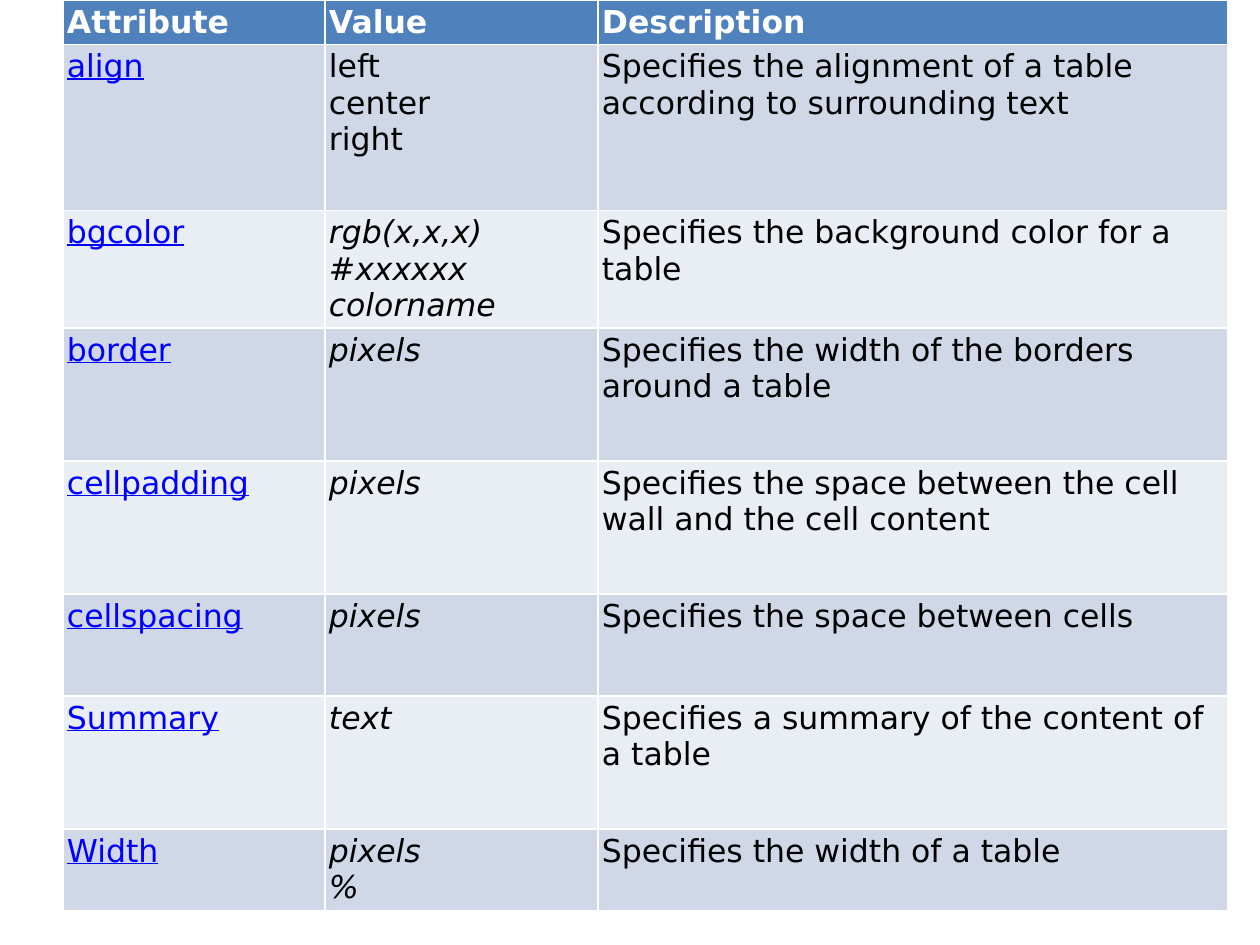
from pptx import Presentation
from pptx.dml.color import RGBColor
from pptx.util import Emu, Pt

PX = 914400 // 126
FONT, SIZE = "DejaVu Sans", 18
WHITE, BLACK, LINK = "FFFFFF", "000000", "0000FF"
HEADER_FILL, BAND_FILLS = "4F81BD", ("D0D8E8", "E9EDF4")

# Content
HEADINGS = ("Attribute", "Value", "Description")
ATTRIBUTES = [
    ("align", "left\ncenter\nright",
     "Specifies the alignment of a table according to surrounding text"),
    ("bgcolor", "rgb(x,x,x)\n#xxxxxx\ncolorname",
     "Specifies the background color for a table"),
    ("border", "pixels", "Specifies the width of the borders around a table"),
    ("cellpadding", "pixels",
     "Specifies the space between the cell wall and the cell content"),
    ("cellspacing", "pixels", "Specifies the space between cells"),
    ("Summary", "text", "Specifies a summary of the content of a table"),
    ("Width", "pixels\n%", "Specifies the width of a table"),
]
LITERAL_VALUES = {"align"}  # values set upright rather than italic

# Layout in pixels
LEFT, TOP, MARGIN = 63, 0, 4
COLUMN_WIDTHS = (262, 273, 630)
ROW_HEIGHTS = (43, 166, 117, 133, 133, 102, 133, 80)


def px(length):
    return Emu(length * PX)


def rgb(color):
    return RGBColor.from_string(color)


def fill_cell(cell, text, fill, color, bold=False, italic=False, underline=False):
    cell.fill.solid()
    cell.fill.fore_color.rgb = rgb(fill)
    cell.margin_left = cell.margin_right = px(MARGIN)
    cell.margin_top = cell.margin_bottom = px(MARGIN)
    paragraph = cell.text_frame.paragraphs[0]
    paragraph.text = text.replace("\n", "\v")
    font = paragraph.font
    font.name, font.size, font.color.rgb = FONT, Pt(SIZE), rgb(color)
    font.bold, font.italic, font.underline = bold, italic, underline


prs = Presentation()
prs.slide_width, prs.slide_height = px(1260), px(945)
slide = prs.slides.add_slide(prs.slide_layouts[6])

# Table grid
table = slide.shapes.add_table(
    len(ROW_HEIGHTS), len(COLUMN_WIDTHS), px(LEFT), px(TOP),
    px(sum(COLUMN_WIDTHS)), px(sum(ROW_HEIGHTS))).table
for column, width in zip(table.columns, COLUMN_WIDTHS):
    column.width = px(width)
for row, height in zip(table.rows, ROW_HEIGHTS):
    row.height = px(height)

# Header row
for col, heading in enumerate(HEADINGS):
    fill_cell(table.cell(0, col), heading, HEADER_FILL, WHITE, bold=True)

# Attribute rows
for index, (attribute, value, description) in enumerate(ATTRIBUTES):
    band = BAND_FILLS[index % 2]
    name_cell, value_cell, description_cell = table.rows[index + 1].cells
    fill_cell(name_cell, attribute, band, LINK, underline=True)
    fill_cell(value_cell, value, band, BLACK,
              italic=attribute not in LITERAL_VALUES)
    fill_cell(description_cell, description, band, BLACK)

prs.save("out.pptx")
